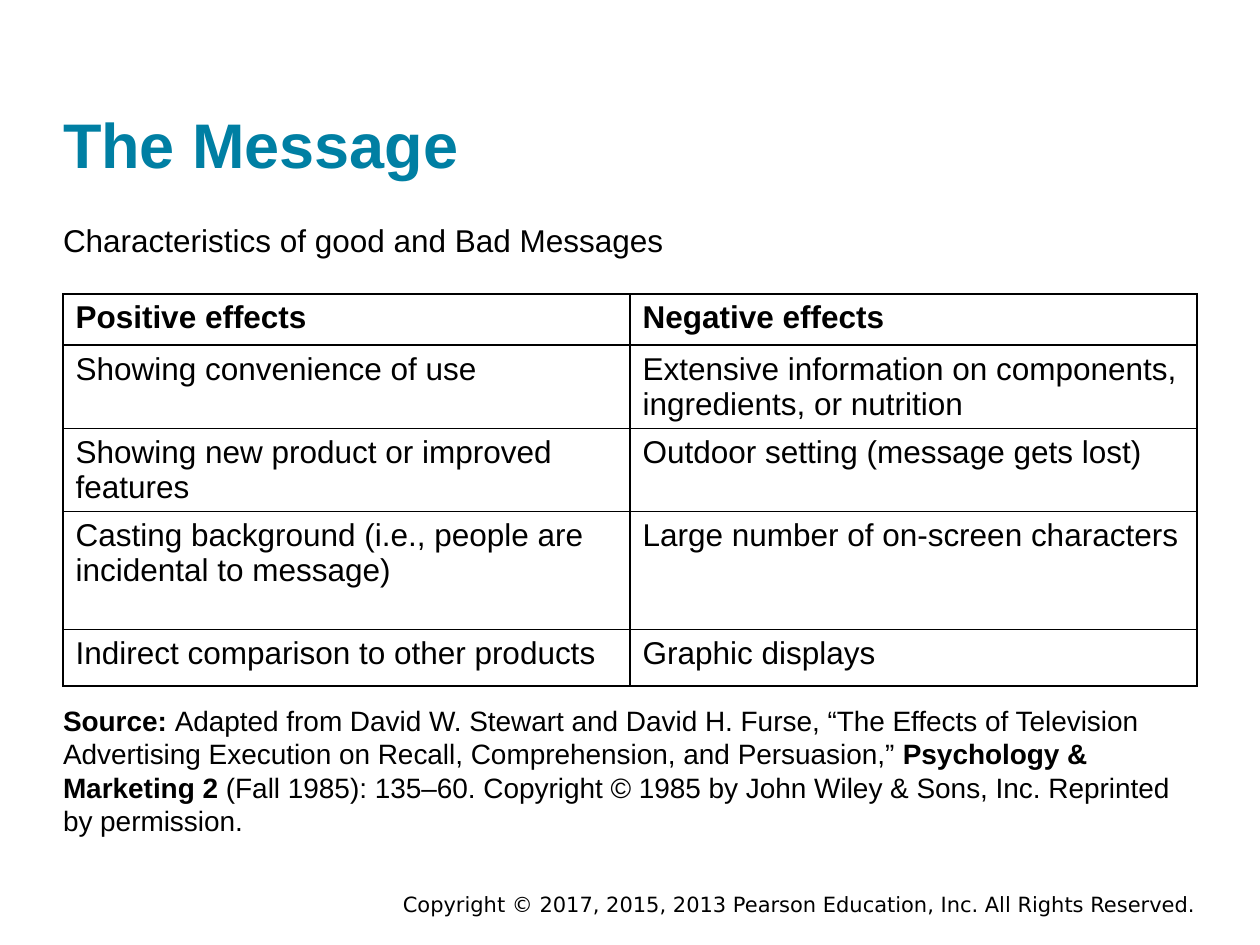
"""Build the slide on good and bad message characteristics with python-pptx."""
from pptx import Presentation
from pptx.dml.color import RGBColor
from pptx.enum.text import MSO_ANCHOR as Anchor, MSO_AUTO_SIZE as AutoSize, PP_ALIGN as Align
from pptx.oxml.ns import qn
from pptx.util import Pt
from lxml.etree import SubElement

COLORS = {"title": "007FA3", "text": "000000", "border": "000000"}
LEFT, WIDTH = 36, 648


def add_runs(paragraph, runs, size, color="text", name="Arial"):
    for text, bold in runs:
        run = paragraph.add_run()
        run.text = text
        values = {"size": Pt(size), "name": name, "bold": bold}
        for key, value in values.items():
            setattr(run.font, key, value)
        run.font.color.rgb = RGBColor.from_string(COLORS[color])


def format_box(shape, left, top, width, height, margin=0, anchor=Anchor.TOP, align=Align.LEFT):
    box = {"left": left, "top": top, "width": width, "height": height}
    for key, value in box.items():
        setattr(shape, key, Pt(value))
    frame = shape.text_frame
    frame.word_wrap = True
    frame.auto_size = AutoSize.NONE
    frame.vertical_anchor = anchor
    for side in ("left", "top", "right", "bottom"):
        setattr(frame, f"margin_{side}", Pt(margin))
    paragraph = frame.paragraphs[0]
    paragraph.alignment = align
    paragraph.space_before = Pt(0)
    return paragraph


presentation = Presentation()
presentation.slide_width, presentation.slide_height = Pt(720), Pt(540)
slide = presentation.slides.add_slide(presentation.slide_layouts[3])
title, subtitle, source = slide.placeholders

paragraph = format_box(title, LEFT, 17.28, WIDTH, 86.4, anchor=Anchor.BOTTOM)
add_runs(paragraph, [("The Message", True)], 36, "title")

body_texts = [
    (subtitle, 126, 30, 18, [("Characteristics of good and Bad Messages", False)]),
    (source, 401.76, 78.5, 16, [
        ("Source: ", True),
        ("Adapted from David W. Stewart and David H. Furse, “The Effects of Television "
         "Advertising Execution on Recall, Comprehension, and Persuasion,” ", False),
        ("Psychology & Marketing 2", True),
        (" (Fall 1985): 135–60. Copyright © 1985 by John Wiley & Sons, Inc. "
         "Reprinted by permission.", False),
    ]),
]
for shape, top, height, size, runs in body_texts:
    paragraph = format_box(shape, LEFT, top, WIDTH, height)
    properties = paragraph._p.get_or_add_pPr()
    properties.set("marL", "0")
    properties.set("indent", "0")
    SubElement(properties, qn("a:buNone"))
    add_runs(paragraph, runs, size)

rows = [
    (29.25, "Positive effects", "Negative effects"),
    (47.5, "Showing convenience of use",
     "Extensive information on components, ingredients, or nutrition"),
    (47.5, "Showing new product or improved features", "Outdoor setting (message gets lost)"),
    (67.5, "Casting background (i.e., people are incidental to message)",
     "Large number of on-screen characters"),
    (32.25, "Indirect comparison to other products", "Graphic displays"),
]
table_height = sum(row[0] for row in rows)
table = slide.shapes.add_table(
    len(rows), 2, Pt(LEFT), Pt(168), Pt(WIDTH), Pt(table_height)).table
table.first_row = True
table.horz_banding = False
for row_index, (height, *texts) in enumerate(rows):
    table.rows[row_index].height = Pt(height)
    for column_index, text in enumerate(texts):
        cell = table.cell(row_index, column_index)
        add_runs(cell.text_frame.paragraphs[0], [(text, row_index == 0)], 18)
        properties = cell._tc.get_or_add_tcPr()
        for side in ("L", "R", "T", "B"):
            line = SubElement(properties, qn(f"a:ln{side}"), w=str(Pt(1)))
            fill = SubElement(line, qn("a:solidFill"))
            SubElement(fill, qn("a:srgbClr"), val=COLORS["border"])
        cell.fill.background()

footer = slide.shapes.add_textbox(Pt(210), Pt(506), Pt(480), Pt(22))
paragraph = format_box(footer, 210.24, 506.16, 480.24, 21.6, margin=3.6, align=Align.RIGHT)
footer.text_frame.margin_left = footer.text_frame.margin_right = Pt(7.2)
add_runs(paragraph, [("Copyright © 2017, 2015, 2013 Pearson Education, Inc. All Rights Reserved.", False)],
         12, name="DejaVu Sans")

presentation.save("out.pptx")
